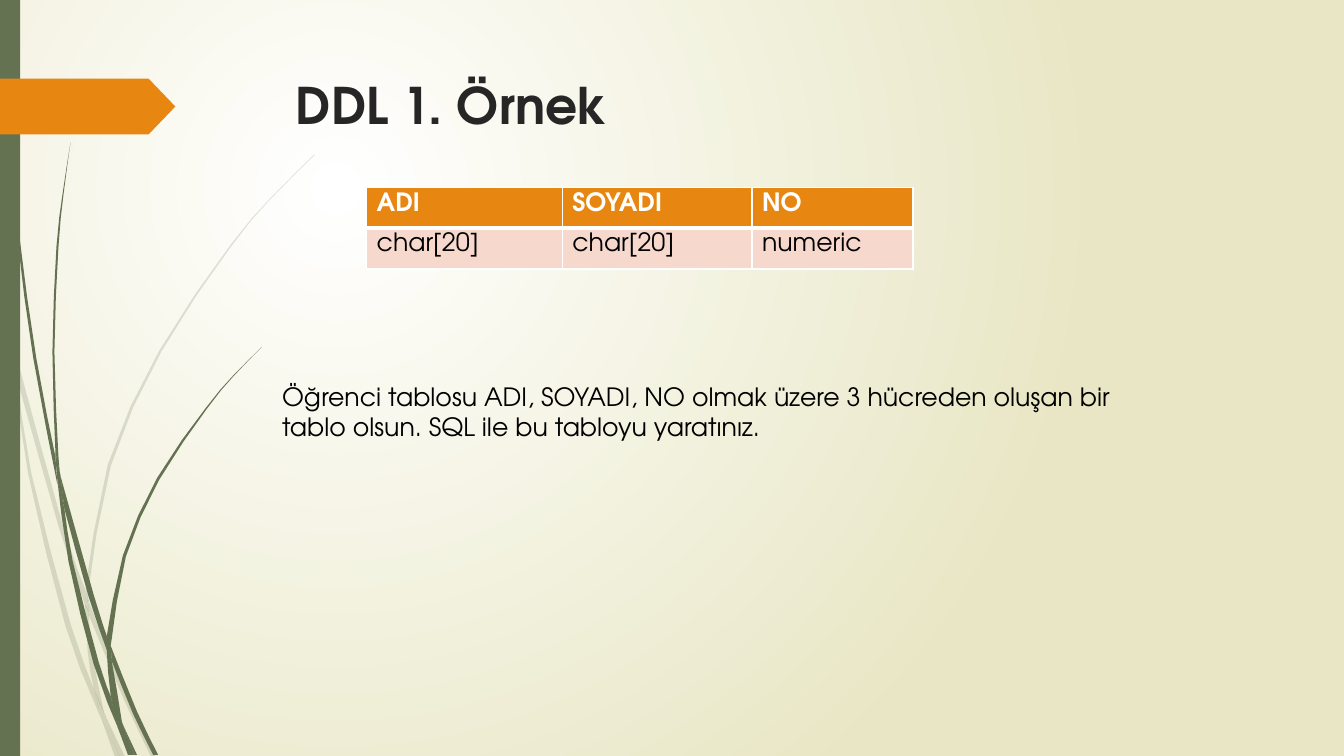
from dataclasses import dataclass
from typing import Any

from lxml.etree import SubElement
from pptx import Presentation
from pptx.dml.color import RGBColor
from pptx.enum.shapes import MSO_SHAPE
from pptx.enum.text import MSO_ANCHOR, MSO_AUTO_SIZE, PP_ALIGN
from pptx.oxml.ns import qn
from pptx.util import Cm, Pt

Point = tuple[float, float]


@dataclass(frozen=True)
class Theme:
    font: str = "TeX Gyre Adventor"
    title_size: int = 36
    body_size: int = 18
    white: str = "FFFFFF"
    sand: str = "E8E6C4"
    green: str = "647252"
    orange: str = "E78712"
    pink: str = "F6D9CC"
    dark: str = "262626"
    black: str = "000000"


@dataclass(frozen=True)
class Blade:
    """Two curved edges of a grass blade, in grid units."""
    one: tuple[Point, ...]
    two: tuple[Point, ...]


@dataclass(frozen=True)
class RowStyle:
    fill: str
    color: str
    bold: bool
    bottom: int


T = Theme()
GRID = Cm(2.54)

PALE_GRASS = (
    Blade(((0, 2.82), (.09, 3.22), (.11, 3.5)), ((.1, 3.44), (0, 2.99))),
    Blade(((.14, 3.45), (.62, 5.2), (.85, 5.86)),
          ((.84, 5.99), (.58, 5.22), (.17, 3.76))),
    Blade(((.88, 5.96), (.92, 6.07), (1.27, 6.92), (1.55, 7.51)),
          ((1.5, 7.51), (1.23, 6.94), (.88, 6.1))),
    Blade(((1.05, 7.11), (1.24, 7.51)), ((1.19, 7.51), (1.05, 7.11))),
    Blade(((.11, 3.5), (.17, 3.76), (.31, 4.69), (.7, 6.19), (.93, 6.83), (.99, 7.07)),
          ((1.01, 7.14), (.92, 6.93), (.65, 6.21), (.28, 4.7), (.11, 3.5))),
    Blade(((.84, 5.99), (.88, 6.08), (.91, 6.46), (1.03, 7.06)),
          ((1.05, 7.11), (.93, 6.83), (.87, 6.46), (.84, 5.99))),
    Blade(((3.12, 1.53), (2.68, 1.97), (2.28, 2.44), (1.58, 3.48), (1.07, 4.61), (.85, 5.84)),
          ((.88, 5.96), (.88, 5.84), (1.1, 4.62), (1.6, 3.49), (2.29, 2.45), (2.68, 1.98),
           (3.12, 1.54))),
    Blade(((1.01, 7.14), (1.19, 7.51)), ((1.14, 7.51), (1.01, 7.14))),
    Blade(((.85, 5.86), (.88, 5.96), (.88, 6.1)), ((.88, 6.08), (.84, 5.99))),
    Blade(((.93, 6.83), (1.05, 7.11), (1.19, 7.51)), ((1.01, 7.14), (.93, 6.83))),
)
DARK_GRASS = (
    Blade(((.03, 0), (.04, .48), (.07, 1.1), (.17, 2.33), (.33, 3.55), (.57, 4.81)),
          ((.55, 4.53), (.36, 3.55), (.19, 2.32), (.08, 1.09), (.04, 0))),
    Blade(((.6, 4.72), (.93, 5.9), (1.06, 6.31)), ((1.06, 6.45), (.88, 5.92), (.64, 5.05))),
    Blade(((1.1, 6.41), (1.36, 7.06), (1.57, 7.49)),
          ((1.52, 7.49), (1.32, 7.08), (1.11, 6.56))),
    Blade(((.57, 4.77), (.64, 5.05), (.72, 5.56), (.98, 6.57), (1.1, 6.91)),
          ((1.17, 7.22), (.93, 6.59), (.68, 5.57), (.57, 4.77))),
    Blade(((.7, 1.41), (.62, 1.93), (.56, 2.45), (.52, 3.49), (.55, 4.49)),
          ((.6, 4.72), (.58, 4.53), (.54, 3.49), (.58, 2.45), (.63, 1.93), (.7, 1.41))),
    Blade(((1.22, 7.19), (1.36, 7.49)), ((1.33, 7.49), (1.22, 7.19))),
    Blade(((.55, 4.49), (.6, 4.72), (.64, 5.05)), ((.57, 4.77), (.55, 4.53))),
    Blade(((2.6, 3.44), (2.31, 3.73), (2.04, 4.05), (1.56, 4.74), (1.22, 5.51), (1.06, 6.31)),
          ((1.1, 6.41), (1.11, 6.33), (1.25, 5.52), (1.58, 4.76), (2.05, 4.06), (2.31, 3.74),
           (2.6, 3.44))),
    Blade(((1.17, 7.22), (1.31, 7.49)), ((1.27, 7.49), (1.17, 7.22))),
    Blade(((1.06, 6.45), (1.11, 6.56), (1.21, 7.16)), ((1.22, 7.19), (1.1, 6.91), (1.06, 6.45))),
    Blade(((1.06, 6.31), (1.1, 6.41), (1.11, 6.56)), ((1.06, 6.45), (1.06, 6.31))),
    Blade(((1.1, 6.91), (1.22, 7.19), (1.33, 7.49)), ((1.3, 7.49), (1.17, 7.22), (1.1, 6.91))),
)

ROWS = (
    (RowStyle(T.orange, T.white, True, 3), ("ADI", "SOYADI", "NO")),
    (RowStyle(T.pink, T.black, False, 1), ("char[20]", "char[20]", "numeric")),
)


def rgb(color: str) -> RGBColor:
    return RGBColor.from_string(color)


def write(tf: Any, text: str, *, size: int = T.body_size,
          color: str = T.black, bold: bool = False) -> None:
    tf.word_wrap = True
    p = tf.paragraphs[0]
    p.alignment = PP_ALIGN.LEFT
    r = p.add_run()
    r.text = text
    f = r.font
    f.name, f.size, f.bold = T.font, Pt(size), bold
    f.color.rgb = rgb(color)


def paint(sp: Any, color: str, alpha: int = 100) -> None:
    sp.shadow.inherit = False
    sp.fill.solid()
    sp.fill.fore_color.rgb = rgb(color)
    sp.line.fill.background()
    if alpha < 100:
        clr = sp.element.spPr.find(".//" + qn("a:srgbClr"))
        SubElement(clr, qn("a:alpha"), val=str(alpha * 1000))


def curve(edge: tuple[Point, ...]) -> list[Point]:
    """Add a Catmull-Rom midpoint between neighbours."""
    ends = (edge[0], *edge, edge[-1])
    points = []
    for a, b, c, d in zip(ends, ends[1:], ends[2:], ends[3:]):
        middle = tuple((9 * (q + r) - p - u) / 16 for p, q, r, u in zip(a, b, c, d))
        points += [b, middle]
    return points + [edge[-1]]


def draw_blade(s: Any, blade: Blade, alpha: int) -> None:
    outline = [(x * GRID, y * GRID) for x, y in curve(blade.one) + curve(blade.two)]
    fb = s.shapes.build_freeform(*outline[0])
    fb.add_line_segments(outline[1:], close=True)
    paint(fb.convert_to_shape(), T.green, alpha)


def draw_background(s: Any) -> None:
    fill = s.background.fill
    fill.gradient()
    for stop, color, pos in zip(fill.gradient_stops, (T.white, T.sand), (0, 1)):
        stop.color.rgb = rgb(color)
        stop.position = pos
    grad = s.element.find(".//" + qn("a:gradFill"))
    grad.remove(grad.find(qn("a:lin")))
    glow = SubElement(grad, qn("a:path"), path="circle")
    SubElement(glow, qn("a:fillToRect"), l="50000", t="50000", r="100000", b="100000")


def set_border(cell: Any, side: str, width: int) -> None:
    ln = SubElement(cell._tc.get_or_add_tcPr(), qn("a:ln" + side), w=str(Pt(width)))
    SubElement(SubElement(ln, qn("a:solidFill")), qn("a:srgbClr"), val=T.white)


def draw_table(s: Any) -> None:
    table = s.shapes.add_table(2, 3, Cm(9.24), Cm(4.72), Cm(13.77), Cm(2.06)).table
    table.horz_banding = False
    for col, width in zip(table.columns, (4.93, 4.78, 4.06)):
        col.width = Cm(width)
    for row, (style, texts) in zip(table.rows, ROWS):
        row.height = Cm(1.03)
        for cell, text in zip(row.cells, texts):
            for side, width in zip("LRTB", (1, 1, 1, style.bottom)):
                set_border(cell, side, width)
            cell.fill.solid()
            cell.fill.fore_color.rgb = rgb(style.fill)
            write(cell.text_frame, text, color=style.color, bold=style.bold)


def main() -> None:
    prs = Presentation()
    prs.slide_width, prs.slide_height = Cm(33.87), Cm(19.05)
    s = prs.slides.add_slide(prs.slide_layouts[5])

    # Backdrop, grass, side bar and arrow tab
    draw_background(s)
    for blades, alpha in ((PALE_GRASS, 20), (DARK_GRASS, 100)):
        for blade in blades:
            draw_blade(s, blade, alpha)
    bar = s.shapes.add_shape(MSO_SHAPE.RECTANGLE, 0, 0, Cm(0.51), Cm(19.05))
    paint(bar, T.green)
    tab = s.shapes.add_shape(MSO_SHAPE.PENTAGON, 0, Cm(1.98), Cm(4.42), Cm(1.41))
    tab.adjustments[0] = 0.48
    paint(tab, T.orange)

    # Title
    title = s.shapes.title
    title.left, title.top = Cm(7.2), Cm(1.73)
    title.width, title.height = Cm(24.77), Cm(3.56)
    tf = title.text_frame
    tf.vertical_anchor = MSO_ANCHOR.TOP
    tf.auto_size = MSO_AUTO_SIZE.NONE
    write(tf, "DDL 1. Örnek", size=T.title_size, color=T.dark, bold=True)

    # Table and task
    draw_table(s)
    task = s.shapes.add_textbox(Cm(6.86), Cm(9.48), Cm(21.54), Cm(2.57))
    task.text_frame.auto_size = MSO_AUTO_SIZE.SHAPE_TO_FIT_TEXT
    write(task.text_frame, "Öğrenci tablosu ADI, SOYADI, NO olmak üzere 3 "
          "hücreden oluşan bir tablo olsun. SQL ile bu tabloyu yaratınız.")

    prs.save("out.pptx")


if __name__ == "__main__":
    main()
